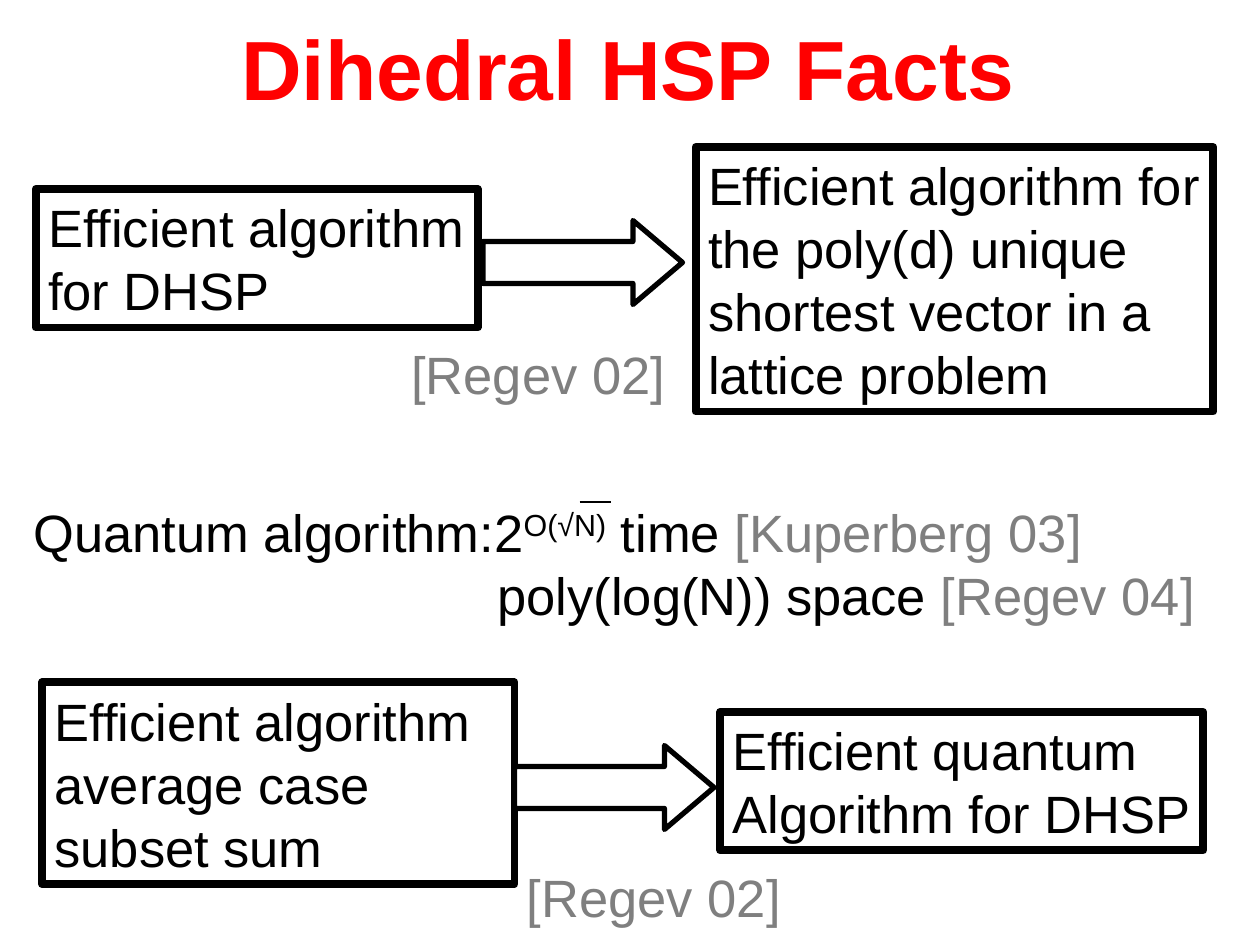
from dataclasses import dataclass
from typing import Any
from lxml.etree import SubElement as Sub
from pptx import Presentation
from pptx.dml.color import RGBColor as Rgb
from pptx.enum.shapes import MSO_CONNECTOR as Conn, MSO_SHAPE as Kind
from pptx.enum.text import MSO_ANCHOR as Anchor, MSO_AUTO_SIZE as Auto, PP_ALIGN as Align
from pptx.oxml.ns import qn
from pptx.util import Inches, Pt

COLS, ROWS = 120, 90
HUES = {"ink": "000000", "title": "FF0000", "cite": "7F7F7F", "paper": "FFFFFF"}
BODY = {"name": "Arial", "size": Pt(30), "bold": False}
HEAD = {"name": "Arial", "size": Pt(48), "bold": True}
FRAME = {"auto_size": Auto.NONE, "vertical_anchor": Anchor.TOP}
EDGE, RIM, RULE = 4.5, 3, 0.75


@dataclass
class Area:
    col: float
    row: float
    wide: float
    high: float


@dataclass
class Run:
    text: str
    hue: str = "ink"
    lift: int = 0


@dataclass
class Line:
    runs: list[Run]
    dent: float = 0


@dataclass
class Box:
    area: Area
    lines: list[str]
    wrap: bool = False


deck = Presentation()
deck.slide_width, deck.slide_height = Inches(10), Inches(7.5)
slide = deck.slides.add_slide(deck.slide_layouts[5])


def across(col: float) -> int:
    return round(deck.slide_width * col / COLS)


def down(row: float) -> int:
    return round(deck.slide_height * row / ROWS)


def place(area: Area) -> tuple[int, int, int, int]:
    return across(area.col), down(area.row), across(area.wide), down(area.high)


def tint(hue: str) -> Rgb:
    return Rgb.from_string(HUES[hue])


def style(thing: Any, looks: dict[str, Any]) -> None:
    for key, value in looks.items():
        setattr(thing, key, value)


def write(shape: Any, lines: list[Line], looks: dict[str, Any],
          wrap: bool = False, align: Align = Align.LEFT) -> None:
    frame = shape.text_frame
    style(frame, FRAME | {"word_wrap": wrap})
    for spot, line in enumerate(lines):
        para = frame.add_paragraph() if spot else frame.paragraphs[0]
        para.alignment = align
        if line.dent:
            para._p.get_or_add_pPr().set("marL", str(across(line.dent)))
        for part in line.runs:
            run = para.add_run()
            run.text = part.text
            style(run.font, looks)
            run.font.color.rgb = tint(part.hue)
            if part.lift:
                run._r.get_or_add_rPr().set("baseline", str(part.lift * 1000))


def outline(shape: Any, width: float) -> None:
    shape.line.color.rgb = tint("ink")
    shape.line.width = Pt(width)


def draw_box(box: Box) -> None:
    shape = slide.shapes.add_shape(Kind.RECTANGLE, *place(box.area))
    shape.shadow.inherit = False
    shape.fill.background()
    outline(shape, EDGE)
    write(shape, [Line([Run(text)]) for text in box.lines], BODY, box.wrap)


def draw_arrow(area: Area) -> None:
    shape = slide.shapes.add_shape(Kind.RIGHT_ARROW, *place(area))
    shape.shadow.inherit = False
    shape.adjustments[1] = 0.59
    shape.fill.solid()
    shape.fill.fore_color.rgb = tint("paper")
    outline(shape, RIM)


def draw_text(area: Area, lines: list[Line], wrap: bool = False) -> None:
    write(slide.shapes.add_textbox(*place(area)), lines, BODY, wrap)


def draw_rule(left: float, right: float, row: float) -> None:
    rule = slide.shapes.add_connector(
        Conn.STRAIGHT, across(left), down(row), across(right), down(row))
    Sub(rule._element.spPr, qn("a:effectLst"))
    outline(rule, RULE)


BOXES = [
    Box(Area(3.4, 18, 42.1, 13.2), ["Efficient algorithm", "for DHSP"]),
    Box(Area(66.25, 14, 49.3, 25.2),
        ["Efficient algorithm for", "the poly(d) unique",
         "shortest vector in a", "lattice problem"]),
    Box(Area(4, 65, 45, 19.2),
        ["Efficient algorithm", "average case subset sum"], True),
    Box(Area(68.6, 67.8, 46, 13.2), ["Efficient quantum", "Algorithm for DHSP"]),
]
ARROWS = [Area(46, 21, 19, 8), Area(49, 71, 19, 8)]
CITES = [Area(38, 32, 26.5, 7.2), Area(49, 81.8, 26.5, 7.2)]
BOUNDS = [
    Line([Run("Quantum algorithm:2"), Run("O(√N)", lift=30),
          Run(" time "), Run("[Kuperberg 03]", "cite")]),
    Line([Run("poly(log(N)) space "), Run("[Regev 04]", "cite")], 44.2),
]

title = slide.shapes.title
title.left, title.top, title.width, title.height = place(Area(21.7, 1, 76.2, 10.8))
write(title, [Line([Run("Dihedral HSP Facts", "title")])], HEAD, align=Align.CENTER)
for box in BOXES:
    draw_box(box)
for area in ARROWS:
    draw_arrow(area)
for area in CITES:
    draw_text(area, [Line([Run("[Regev 02]", "cite")])])
draw_text(Area(2, 47, 116, 13.2), BOUNDS, True)
draw_rule(55.2, 58.2, 47.8)

deck.save("out.pptx")
